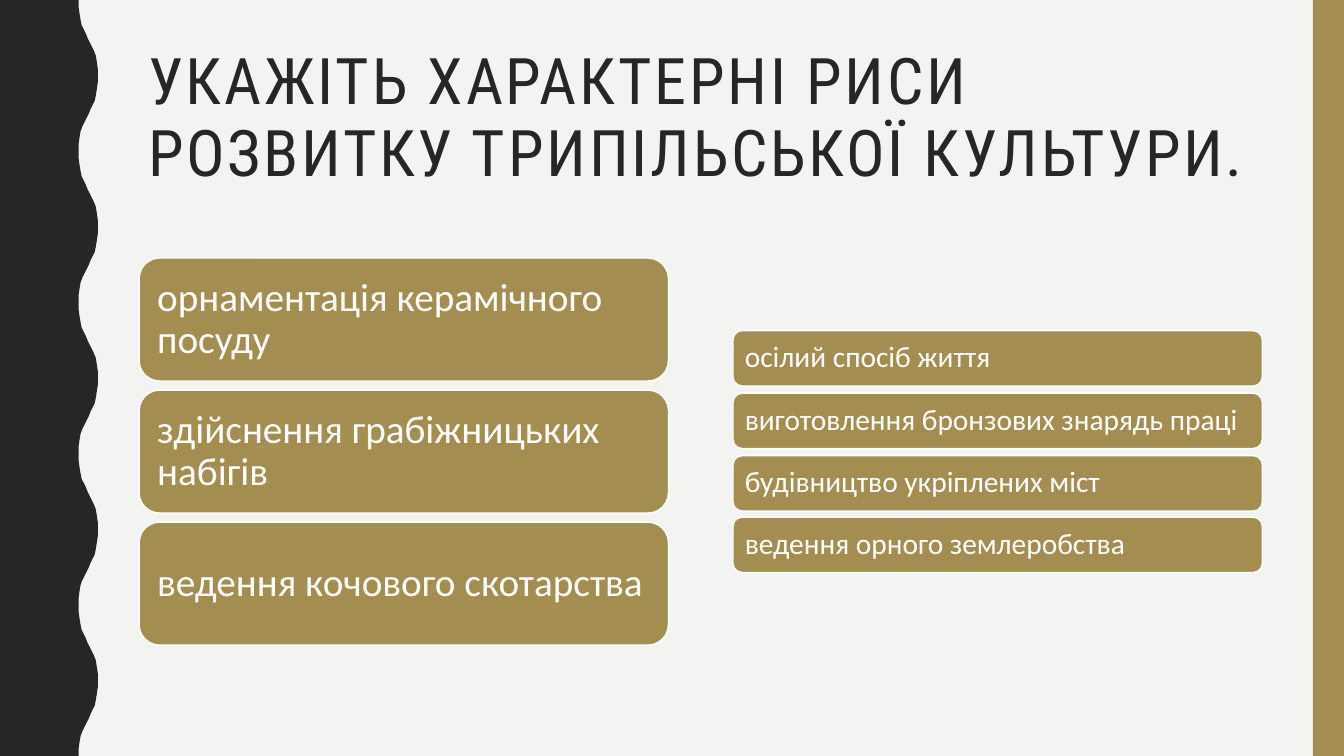
from dataclasses import dataclass

from pptx import Presentation
from pptx.dml.color import RGBColor
from pptx.enum.shapes import MSO_SHAPE
from pptx.enum.text import MSO_ANCHOR, PP_ALIGN
from pptx.shapes.autoshape import Shape
from pptx.slide import Slide
from pptx.util import Emu, Pt

PX = 9144  # 100 px to the inch
WIDTH, HEIGHT = 1333, 750
COLOURS = {"paper": "F3F3F2", "dark": "262626", "gold": "A38D51", "white": "FFFFFF"}

HALF_WAVE = 75
WAVE_SIDES = 78 + 97  # sum of the crest and trough positions
HALF_WAVE_POINTS = [
    (78, 0), (78, 7), (79, 14), (80, 20), (81, 25), (83, 29), (85, 33),
    (87, 38), (89, 42), (91, 46), (93, 50), (95, 55), (96, 61), (97, 68),
]


@dataclass(frozen=True)
class AnswerColumn:
    left: int
    top: int
    height: int
    pitch: float
    inset: int
    size: int
    answers: tuple[str, ...]


ANSWER_WIDTH = 525
COLUMNS = [
    AnswerColumn(138, 256, 122, 131, 12, 28, (
        "орнаментація керамічного посуду",
        "здійснення грабіжницьких набігів",
        "ведення кочового скотарства",
    )),
    AnswerColumn(727, 328, 55, 61.75, 9, 21, (
        "осілий спосіб життя",
        "виготовлення бронзових знарядь праці",
        "будівництво укріплених міст",
        "ведення орного землеробства",
    )),
]


def px(length: float) -> Emu:
    return Emu(round(length) * PX)


def colour(name: str) -> RGBColor:
    return RGBColor.from_string(COLOURS[name])


def paint(shape: Shape, fill: str, outline: str | None = None) -> None:
    shape.shadow.inherit = False
    shape.fill.solid()
    shape.fill.fore_color.rgb = colour(fill)
    if outline:
        shape.line.color.rgb = colour(outline)
        shape.line.width = Pt(1)
    else:
        shape.line.fill.background()


def write(box: Shape, text: str, font: dict, colour_name: str,
          frame: dict, line_spacing: float) -> None:
    for name, value in frame.items():
        setattr(box.text_frame, name, value)
    para = box.text_frame.paragraphs[0]
    para.alignment = PP_ALIGN.LEFT
    para.line_spacing = line_spacing
    span = para.add_run()
    span.text = text
    for name, value in font.items():
        setattr(span.font, name, value)
    span.font.color.rgb = colour(colour_name)


def add_wave(page: Slide) -> None:
    """Draw the dark left band, mirroring every second half wave."""
    edge = [
        (WAVE_SIDES - x if half % 2 else x, half * HALF_WAVE + y)
        for half in range(HEIGHT // HALF_WAVE)
        for x, y in HALF_WAVE_POINTS
    ]
    builder = page.shapes.build_freeform(0, 0, scale=PX)
    builder.add_line_segments([*edge, (78, HEIGHT), (0, HEIGHT)], close=True)
    paint(builder.convert_to_shape(), "dark")


def add_side_bar(page: Slide) -> None:
    bar = page.shapes.add_shape(MSO_SHAPE.RECTANGLE, px(1302), 0, px(31), px(HEIGHT))
    paint(bar, "gold")


def add_title(page: Slide) -> None:
    box = page.shapes.add_textbox(px(137), px(42), px(1113), px(163))
    write(box, "УКАЖІТЬ ХАРАКТЕРНІ РИСИ РОЗВИТКУ ТРИПІЛЬСЬКОЇ КУЛЬТУРИ.",
          {"name": "Roboto Condensed", "size": Pt(45.9)}, "dark",
          {"word_wrap": True, "vertical_anchor": MSO_ANCHOR.TOP}, 0.93)
    span = box.text_frame.paragraphs[0].runs[0]
    span.font._element.set("spc", "200")


def add_answers(page: Slide, column: AnswerColumn) -> None:
    sides = ("left", "top", "right", "bottom")
    frame = {f"margin_{side}": px(column.inset) for side in sides}
    frame |= {"word_wrap": True, "vertical_anchor": MSO_ANCHOR.MIDDLE}
    font = {"name": "Calibri", "size": Pt(column.size)}
    for row, answer in enumerate(column.answers):
        box = page.shapes.add_shape(
            MSO_SHAPE.ROUNDED_RECTANGLE, px(column.left),
            px(column.top + row * column.pitch), px(ANSWER_WIDTH), px(column.height))
        paint(box, "gold", "white")
        write(box, answer, font, "white", frame, 0.9)


def main() -> None:
    deck = Presentation()
    deck.slide_width, deck.slide_height = px(WIDTH), px(HEIGHT)
    page = deck.slides.add_slide(deck.slide_layouts[6])
    page.background.fill.solid()
    page.background.fill.fore_color.rgb = colour("paper")
    add_wave(page)
    add_side_bar(page)
    add_title(page)
    for column in COLUMNS:
        add_answers(page, column)
    deck.save("out.pptx")


if __name__ == "__main__":
    main()
